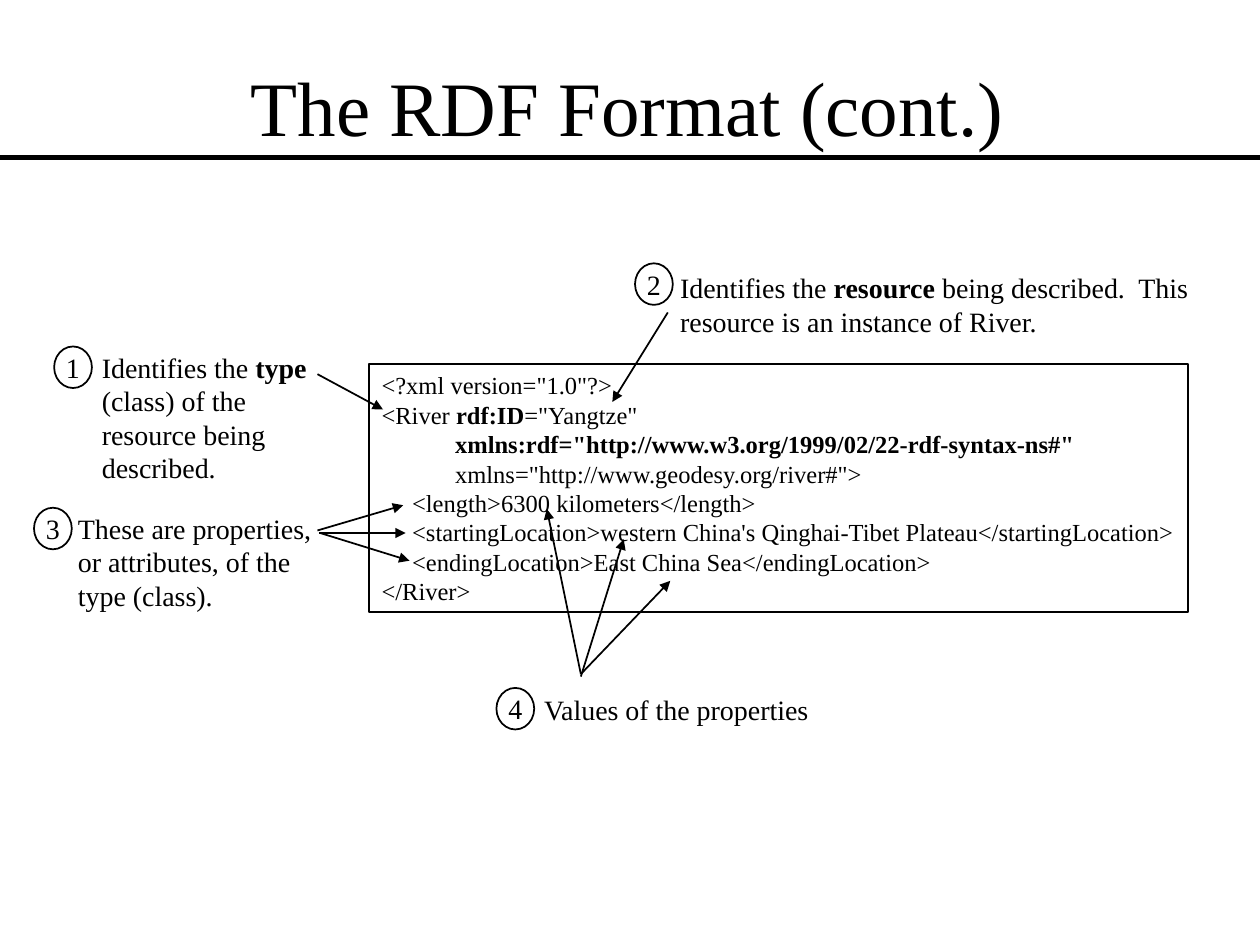
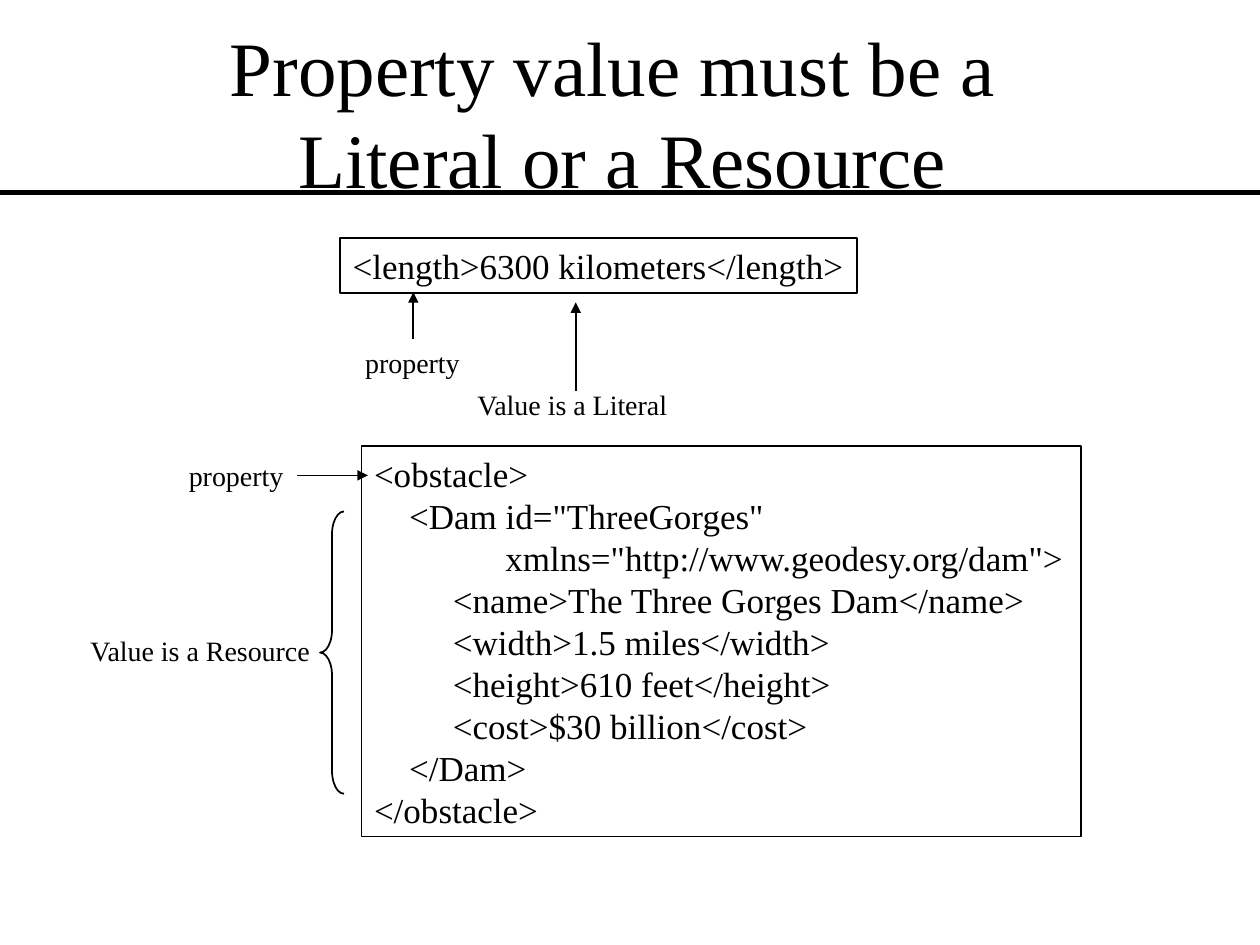
"""Build two slides that explain RDF markup with annotated code boxes."""
from dataclasses import dataclass

from pptx import Presentation
from pptx.dml.color import RGBColor
from pptx.enum.shapes import MSO_CONNECTOR as LINE, MSO_SHAPE as SHAPE
from pptx.enum.text import MSO_ANCHOR as ANCHOR, MSO_AUTO_SIZE as FIT, PP_ALIGN as ALIGN
from pptx.oxml.ns import qn
from pptx.util import Inches, Pt


@dataclass(frozen=True)
class Theme:
    font: str = "Times New Roman"
    ink: RGBColor = RGBColor(0, 0, 0)
    paper: RGBColor = RGBColor(255, 255, 255)
    title: int = 44
    snippet: int = 20
    label: int = 16
    listing: int = 14
    leading: float = 1.2
    thin: int = 1
    thick: int = 3


THEME = Theme()
BADGE = (0.3, 0.33)
TOP, RIGHT = 0, 3

FORMAT_SLIDE = {
    "title": ("The RDF Format (cont.)", 0.73, 0.21),
    "rule": 1.25,
    "code": [
        (2.93, 2.89, 6.5, THEME.listing, [
            (0, '<?xml version="1.0"?>'),
            (0, '<River **rdf:ID**="Yangtze"'),
            (12, '**xmlns:rdf="http://www.w3.org/1999/02/22-rdf-syntax-ns#"**'),
            (12, 'xmlns="http://www.geodesy.org/river#">'),
            (5, "<length>6300 kilometers</length>"),
            (5, "<startingLocation>western China's Qinghai-Tibet Plateau</startingLocation>"),
            (5, "<endingLocation>East China Sea</endingLocation>"),
            (0, "</River>"),
        ]),
    ],
    "labels": [
        (0.71, 2.73, 1.85, ["Identifies the **type**", "(class) of the",
                            "resource being", "described."]),
        (5.3, 2.1, 4.26, ["Identifies the **resource** being described.  This",
                          "resource is an instance of River."]),
        (0.52, 4.01, 2.07, ["These are properties,", "or attributes, of the",
                            "type (class)."]),
        (4.22, 5.45, 2.32, ["Values of the properties"]),
    ],
    "badges": [(0.43, 2.75), (5.04, 2.09), (0.27, 4.03), (3.94, 5.46)],
    "arrows": [
        (2.52, 2.97, 3.04, 3.25),
        (5.3, 2.48, 4.86, 3.19),
        (2.52, 4.21, 3.2, 4.01),
        (2.53, 4.23, 3.22, 4.23),
        (2.54, 4.23, 3.25, 4.45),
        (4.61, 5.35, 4.34, 4.04),
        (4.61, 5.37, 4.95, 4.28),
        (4.61, 5.35, 5.32, 4.61),
    ],
}

VALUE_SLIDE = {
    "title": ("Property value must be a \vLiteral or a Resource", 0.69, 0.26),
    "rule": 1.53,
    "code": [
        (2.7, 1.89, 4.1, THEME.snippet, [(0, "<length>6300 kilometers</length>")]),
        (2.87, 3.54, 5.71, THEME.snippet, [
            (0, "<obstacle>"),
            (4, '<Dam id="ThreeGorges"'),
            (15, 'xmlns="http://www.geodesy.org/dam">'),
            (9, "<name>The Three Gorges Dam</name>"),
            (9, "<width>1.5 miles</width>"),
            (9, "<height>610 feet</height>"),
            (9, "<cost>$30 billion</cost>"),
            (4, "</Dam>"),
            (0, "</obstacle>"),
        ]),
    ],
    "labels": [
        (2.8, 2.69, 0.96, ["property"]),
        (3.69, 3.03, 1.73, ["Value is a Literal"]),
        (1.4, 3.59, 0.96, ["property"]),
        (0.62, 4.98, 1.96, ["Value is a Resource"]),
    ],
    "arrows": [
        (3.28, 2.69, 3.28, 2.32),
        (4.57, 3.1, 4.57, 2.4),
        (2.36, 3.77, 2.92, 3.77),
    ],
    "joins": [(0, 0, TOP), (2, 2, RIGHT)],
    "brace": (2.54, 4.06, 0.19, 2.24),
}


def style(p, size, align=ALIGN.LEFT):
    p.alignment = align
    p.line_spacing = Pt(size * THEME.leading)
    p.space_before = p.space_after = Pt(0)
    for r in p.runs:
        r.font.name, r.font.size = THEME.font, Pt(size)
        r.font.color.rgb = THEME.ink


def write(tf, lines, size):
    tf.word_wrap, tf.auto_size = False, FIT.SHAPE_TO_FIT_TEXT
    tf.vertical_anchor = ANCHOR.TOP
    for i, (indent, text) in enumerate(lines):
        p = tf.paragraphs[0] if i == 0 else tf.add_paragraph()
        for j, part in enumerate(text.split("**")):
            if part:
                r = p.add_run()
                r.text, r.font.bold = part, j % 2 == 1
        style(p, size)
        p._p.get_or_add_pPr().set("marL", str(Pt(indent * size / 4)))


def text_height(lines, size):
    return Inches(0.1) + Pt(len(lines) * size * THEME.leading)


def outline(sp, fill=None):
    sp.shadow.inherit = False
    sp.line.color.rgb, sp.line.width = THEME.ink, Pt(THEME.thin)
    if fill is None:
        sp.fill.background()
    else:
        sp.fill.solid()
        sp.fill.fore_color.rgb = fill


def add_title(slide, text, x, y):
    sp = slide.shapes.title
    sp.left, sp.top, sp.width, sp.height = map(Inches, (x, y, 8.5, 1.25))
    tf = sp.text_frame
    tf.text = text
    tf.auto_size, tf.vertical_anchor = FIT.NONE, ANCHOR.MIDDLE
    style(tf.paragraphs[0], THEME.title, ALIGN.CENTER)


def add_code(slide, x, y, w, size, lines):
    sp = slide.shapes.add_shape(SHAPE.RECTANGLE, Inches(x), Inches(y), Inches(w),
                                text_height(lines, size))
    outline(sp)
    write(sp.text_frame, lines, size)


def add_label(slide, x, y, w, lines):
    sp = slide.shapes.add_textbox(Inches(x), Inches(y), Inches(w),
                                  text_height(lines, THEME.label))
    write(sp.text_frame, [(0, text) for text in lines], THEME.label)
    return sp


def add_badge(slide, number, x, y):
    sp = slide.shapes.add_shape(SHAPE.OVAL, *map(Inches, (x, y, *BADGE)))
    outline(sp, THEME.paper)
    tf = sp.text_frame
    tf.text = str(number)
    tf.word_wrap, tf.vertical_anchor = False, ANCHOR.MIDDLE
    style(tf.paragraphs[0], THEME.label, ALIGN.CENTER)


def add_line(slide, ends, width=THEME.thin, arrow=True):
    line = slide.shapes.add_connector(LINE.STRAIGHT, *map(Inches, ends))
    line.line.color.rgb, line.line.width = THEME.ink, Pt(width)
    props = line._element.spPr
    if arrow:
        ln = props.find(qn("a:ln"))
        ln.append(ln.makeelement(qn("a:tailEnd"), {"type": "triangle"}))
    props.append(props.makeelement(qn("a:effectLst"), {}))
    return line


def join(arrow, label, side):
    arrow.begin_connect(label, side)
    if side == RIGHT:
        arrow.end_y = arrow.begin_y
    else:
        arrow.end_x = arrow.begin_x


def add_brace(slide, box):
    sp = slide.shapes.add_shape(SHAPE.LEFT_BRACE, *map(Inches, box))
    outline(sp)
    sp.adjustments[0] = 0.95


def build_slide(prs, content):
    slide = prs.slides.add_slide(prs.slide_layouts[5])
    add_title(slide, *content["title"])
    for code in content["code"]:
        add_code(slide, *code)
    labels = [add_label(slide, *label) for label in content["labels"]]
    arrows = [add_line(slide, ends) for ends in content["arrows"]]
    for arrow, label, side in content.get("joins", []):
        join(arrows[arrow], labels[label], side)
    for number, spot in enumerate(content.get("badges", []), 1):
        add_badge(slide, number, *spot)
    if "brace" in content:
        add_brace(slide, content["brace"])
    y = content["rule"]
    add_line(slide, (0, y, 10, y), THEME.thick, arrow=False)


def main():
    prs = Presentation()
    prs.slide_width, prs.slide_height = Inches(10), Inches(7.5)
    for content in (FORMAT_SLIDE, VALUE_SLIDE):
        build_slide(prs, content)
    prs.save("out.pptx")


if __name__ == "__main__":
    main()
